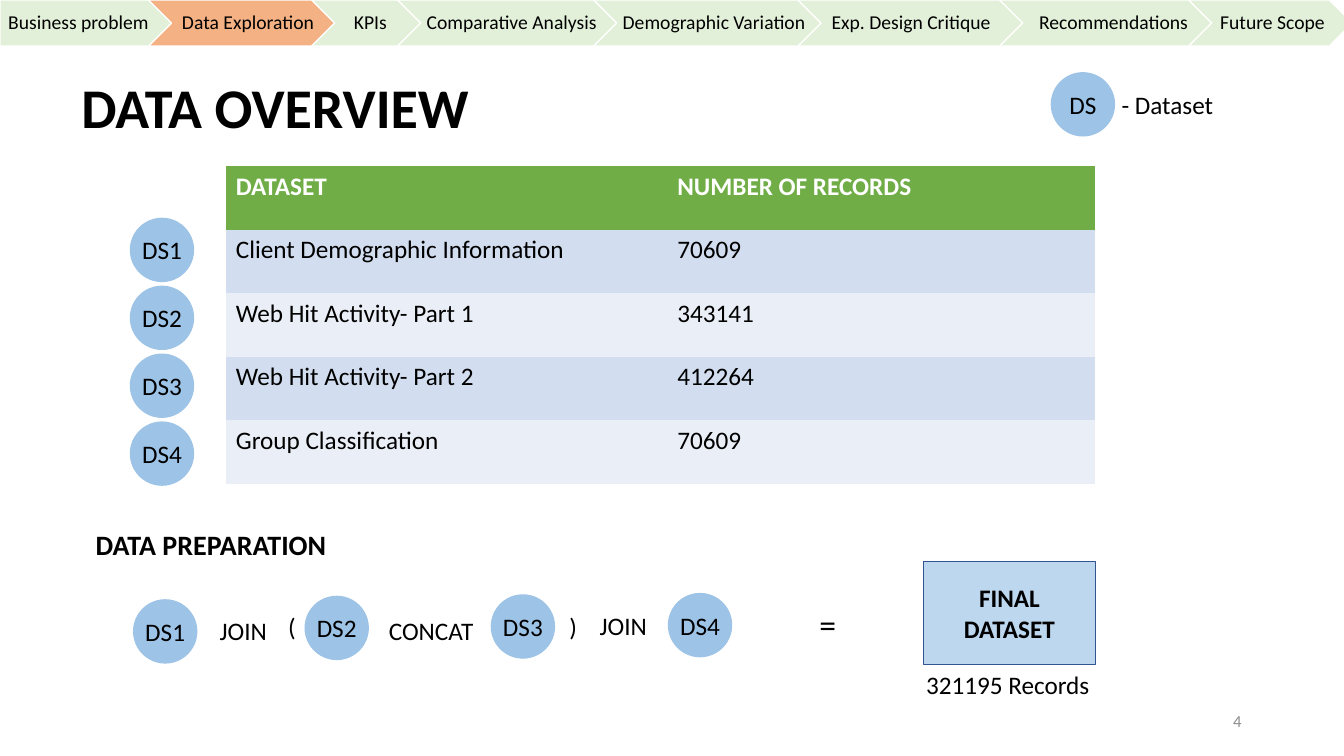
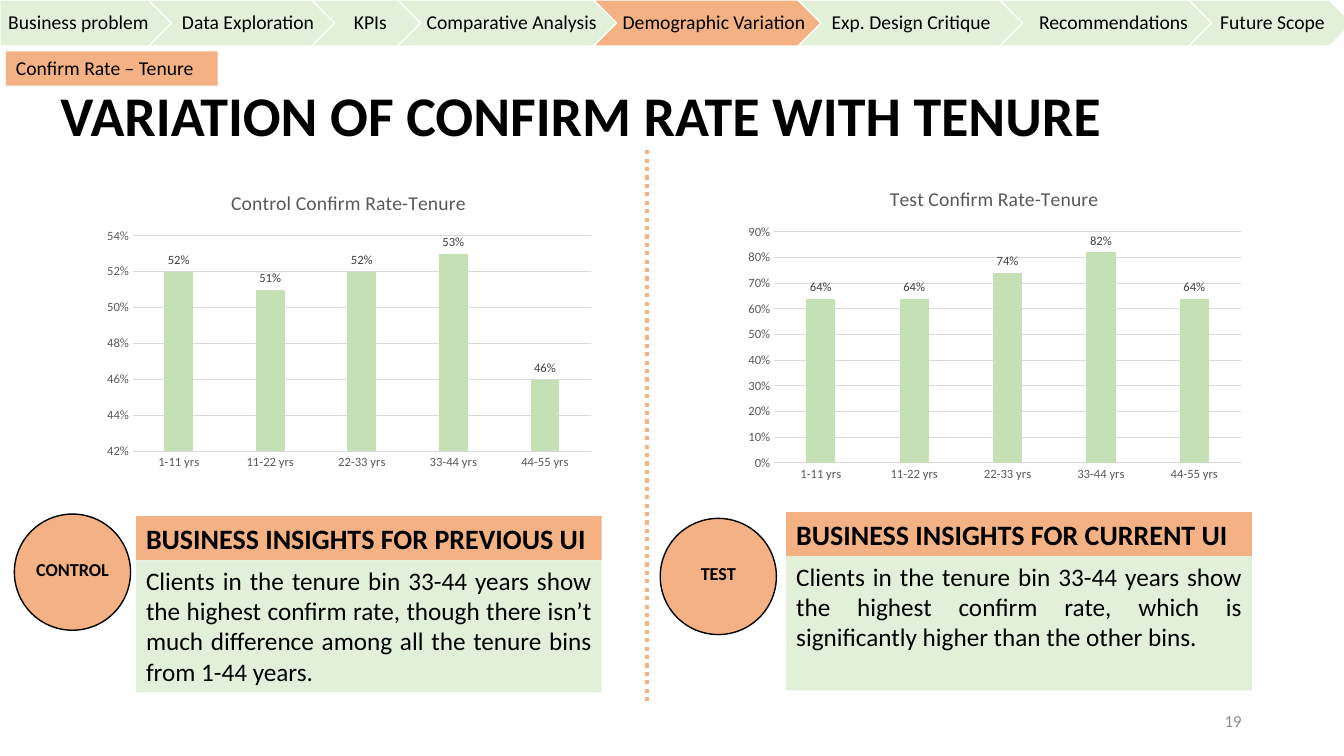
from dataclasses import dataclass

from lxml import etree
from pptx import Presentation
from pptx import util as u
from pptx.chart import data as chart_data
from pptx.dml import color as dml
from pptx.enum import chart as chart_enum
from pptx.enum import dml as dml_enum
from pptx.enum import shapes, text
from pptx.oxml import ns

Pt = u.Pt
LEFT, CENTER, RIGHT, JUSTIFY = (
    text.PP_ALIGN.LEFT, text.PP_ALIGN.CENTER, text.PP_ALIGN.RIGHT, text.PP_ALIGN.JUSTIFY)
TOP, MIDDLE = text.MSO_ANCHOR.TOP, text.MSO_ANCHOR.MIDDLE
SHAPE = shapes.MSO_SHAPE


@dataclass(frozen=True)
class Theme:
    font: str = "Calibri"
    ink: str = "000000"
    white: str = "FFFFFF"
    accent: str = "F4B183"
    pale_green: str = "E2F0D9"
    bar: str = "C5E0B4"
    header: str = "70AD47"
    bands: tuple = ("D2DEEF", "EAEFF7")
    badge: str = "9DC3E6"
    result: str = "BDD7EE"
    result_line: str = "325491"
    muted: str = "8C8C8C"
    axis: str = "595959"
    label: str = "404040"
    grid: str = "D9D9D9"
    title_size: float = 40
    symbol_size: float = 24
    heading_size: float = 20
    body_size: float = 18
    nav_size: float = 14
    group_size: float = 13
    page_size: float = 12
    chart_size: float = 9


THEME = Theme()
PLAIN = (7.2, 3.6, 7.2, 3.6)
BADGE = 46
BADGE_STEP = 48.5
NAV_HEIGHT = 33
NAV = [
    ("Business problem", 0, 135, 5.8, LEFT),
    ("Data Exploration", 106, 142.5, 7.5, LEFT),
    ("KPIs", 222.5, 82, 13.8, LEFT),
    ("Comparative Analysis", 284, 166, 4.3, LEFT),
    ("Demographic Variation", 424, 171.5, 4.3, LEFT),
    ("Exp. Design Critique", 570, 169, 7.5, LEFT),
    ("Recommendations", 714, 160, 4.3, CENTER),
    ("Future Scope", 849, 117, 4.3, CENTER),
]
DATASETS = [
    ("DATASET", "NUMBER OF RECORDS"),
    ("Client Demographic Information", "70609"),
    ("Web Hit Activity- Part 1", "343141"),
    ("Web Hit Activity- Part 2", "412264"),
    ("Group Classification", "70609"),
]
TENURES = ["1-11 yrs", "11-22 yrs", "22-33 yrs", "33-44 yrs", "44-55 yrs"]
NO_GRID_STYLE = "{2D5ABB26-0587-4C30-8999-92F81FD0307C}"


def rgb(value):
    return dml.RGBColor.from_string(value)


def set_font(font, size, color=THEME.ink, bold=False):
    font.name = THEME.font
    font.size = Pt(size)
    font.bold = bold
    font.color.rgb = rgb(color)


def write(frame, content, size, color=THEME.ink, bold=False, align=LEFT,
          anchor=TOP, insets=PLAIN, spacing=None):
    frame.word_wrap = True
    frame.auto_size = text.MSO_AUTO_SIZE.NONE
    frame.vertical_anchor = anchor
    frame.margin_left, frame.margin_top, frame.margin_right, frame.margin_bottom = map(Pt, insets)
    frame.text = content
    paragraph = frame.paragraphs[0]
    paragraph.alignment = align
    paragraph.line_spacing = spacing
    set_font(paragraph.font, size, color, bold)


def add_block(slide, kind, box, fill, line=None):
    shape = slide.shapes.add_shape(kind, *map(Pt, box))
    shape.shadow.inherit = False
    shape.fill.solid()
    shape.fill.fore_color.rgb = rgb(fill)
    if line:
        shape.line.color.rgb = rgb(line)
        shape.line.width = Pt(1)
    else:
        shape.line.fill.background()
    return shape


def add_label(slide, content, left, top, width, size=THEME.body_size, **style):
    label = slide.shapes.add_textbox(Pt(left), Pt(top), Pt(width), Pt(29))
    write(label.text_frame, content, size, **style)


def add_badge(slide, name, left, top):
    badge = add_block(slide, SHAPE.OVAL, (left, top, BADGE, BADGE), THEME.badge)
    write(badge.text_frame, name, THEME.body_size, align=CENTER, anchor=MIDDLE, insets=(0, 0, 0, 0))


def add_navigation(slide, current):
    for index, (name, left, width, inset, align) in enumerate(NAV):
        kind = SHAPE.CHEVRON if index else SHAPE.PENTAGON
        fill = THEME.accent if name == current else THEME.pale_green
        step = add_block(slide, kind, (left, 0, width, NAV_HEIGHT), fill, THEME.white)
        write(step.text_frame, name, THEME.nav_size, align=align, anchor=MIDDLE,
              insets=(inset, 2.9, 1.4, 2.9), spacing=0.9)


def add_slide(presentation, title, title_box, section, number):
    slide = presentation.slides.add_slide(presentation.slide_layouts[5])
    heading = slide.shapes.title
    heading.left, heading.top, heading.width, heading.height = map(Pt, title_box)
    write(heading.text_frame, title, THEME.title_size, bold=True, anchor=MIDDLE, spacing=0.9)
    add_navigation(slide, section)
    add_label(slide, number, 678, 500.5, 216, THEME.page_size,
              color=THEME.muted, align=RIGHT, anchor=MIDDLE)
    return slide


def add_dataset_table(slide):
    row_height = 45.4
    frame = slide.shapes.add_table(
        len(DATASETS), 2, Pt(161.3), Pt(118.8), Pt(620.7), Pt(row_height * len(DATASETS)))
    table = frame.table
    table._tbl.tblPr.find(ns.qn("a:tableStyleId")).text = NO_GRID_STYLE
    for column, width in zip(table.columns, (315.4, 305.3)):
        column.width = Pt(width)
    for row_index, values in enumerate(DATASETS):
        is_header = row_index == 0
        table.rows[row_index].height = Pt(row_height)
        for column_index, value in enumerate(values):
            cell = table.cell(row_index, column_index)
            cell.fill.solid()
            cell.fill.fore_color.rgb = rgb(
                THEME.header if is_header else THEME.bands[(row_index - 1) % 2])
            cell.text = value
            set_font(cell.text_frame.paragraphs[0].font, THEME.body_size,
                     THEME.white if is_header else THEME.ink, is_header)


def place_plot(chart, width, height):
    left, top, right, bottom = 26, 44, 7, 18
    plot_area = chart._chartSpace.chart.plotArea
    for existing in plot_area.findall(ns.qn("c:layout")):
        plot_area.remove(existing)
    layout = etree.Element(ns.qn("c:layout"))
    manual = etree.SubElement(layout, ns.qn("c:manualLayout"))
    settings = {
        "layoutTarget": "inner", "xMode": "edge", "yMode": "edge",
        "x": left / width, "y": top / height,
        "w": (width - left - right) / width, "h": (height - top - bottom) / height,
    }
    for name, value in settings.items():
        etree.SubElement(manual, ns.qn("c:" + name)).set("val", str(value))
    plot_area.insert(0, layout)


def add_rate_chart(slide, title, values, box, scale):
    data = chart_data.CategoryChartData(number_format="0%")
    data.categories = TENURES
    data.add_series("Series 1", values)
    chart = slide.shapes.add_chart(
        chart_enum.XL_CHART_TYPE.COLUMN_CLUSTERED, *map(Pt, box), data).chart
    set_font(chart.font, THEME.chart_size)
    chart.has_legend = False
    chart.has_title = True
    chart.chart_title.text_frame.text = title
    set_font(chart.chart_title.text_frame.paragraphs[0].font, THEME.nav_size, THEME.axis)
    chart.chart_title.include_in_layout = False

    plot = chart.plots[0]
    plot.vary_by_categories = False
    plot.gap_width = 219
    plot.overlap = -27
    fill = plot.series[0].format.fill
    fill.solid()
    fill.fore_color.rgb = rgb(THEME.bar)
    plot.has_data_labels = True
    labels = plot.data_labels
    labels.show_value = True
    labels.number_format = "0%"
    labels.number_format_is_linked = False
    labels.position = chart_enum.XL_LABEL_POSITION.OUTSIDE_END
    set_font(labels.font, THEME.chart_size, THEME.label)

    for axis in (chart.category_axis, chart.value_axis):
        axis.major_tick_mark = axis.minor_tick_mark = chart_enum.XL_TICK_MARK.NONE
        set_font(axis.tick_labels.font, THEME.chart_size, THEME.axis)
    value_axis = chart.value_axis
    value_axis.minimum_scale, value_axis.maximum_scale, value_axis.major_unit = scale
    value_axis.tick_labels.number_format = "0%"
    value_axis.tick_labels.number_format_is_linked = False
    value_axis.format.line.fill.background()
    for line in (value_axis.major_gridlines.format.line, chart.category_axis.format.line):
        line.color.rgb = rgb(THEME.grid)
        line.width = Pt(0.75)
    place_plot(chart, *box[2:])


def add_insight(slide, heading, body, left, top, body_height):
    width, heading_height = 332.6, 31.5
    header = add_block(slide, SHAPE.RECTANGLE, (left, top, width, heading_height), THEME.accent)
    write(header.text_frame, heading, THEME.heading_size, bold=True)
    panel = add_block(slide, SHAPE.RECTANGLE,
                      (left, top + heading_height, width, body_height), THEME.pale_green)
    write(panel.text_frame, body, THEME.body_size, align=JUSTIFY)


def add_group_circle(slide, name, left, top):
    circle = add_block(slide, SHAPE.OVAL, (left, top, 83, 83), THEME.accent, THEME.ink)
    write(circle.text_frame, name, THEME.group_size, bold=True, align=CENTER,
          anchor=MIDDLE, insets=(0, 0, 0, 4))


def add_divider(slide):
    divider = slide.shapes.add_connector(
        shapes.MSO_CONNECTOR.STRAIGHT, Pt(462.3), Pt(107.3), Pt(462.3), Pt(500.4))
    divider.line.color.rgb = rgb(THEME.accent)
    divider.line.width = Pt(3)
    divider.line.dash_style = dml_enum.MSO_LINE.ROUND_DOT
    etree.SubElement(divider._element.spPr, ns.qn("a:effectLst"))


def build_data_overview(presentation):
    slide = add_slide(presentation, "DATA OVERVIEW", (51, 34, 397, 89), "Data Exploration", "4")
    add_badge(slide, "DS", 750.5, 51.5)
    add_label(slide, "- Dataset", 794, 60, 109)
    add_dataset_table(slide)
    for index in range(4):
        add_badge(slide, f"DS{index + 1}", 92.7, 155.5 + index * BADGE_STEP)

    add_label(slide, "DATA PREPARATION", 61.2, 373, 183, THEME.heading_size, bold=True)
    for name, left, top in (("DS1", 95, 428), ("DS2", 217.5, 425.5),
                            ("DS3", 350.5, 424.5), ("DS4", 477, 423.5)):
        add_badge(slide, name, left, top)
    for content, left, top, width in (("JOIN", 149.8, 436.3, 54), ("(", 198.7, 433.4, 27),
                                      ("CONCAT", 270.7, 435.6, 78), (")", 399.6, 433.4, 24),
                                      ("JOIN", 421.2, 432.7, 54),
                                      ("321195 Records", 654.5, 474.5, 133)):
        add_label(slide, content, left, top, width)
    add_label(slide, "=", 578.2, 427.7, 32, THEME.symbol_size)
    result = add_block(slide, SHAPE.RECTANGLE, (659.5, 401, 123, 73.5),
                       THEME.result, THEME.result_line)
    write(result.text_frame, "FINAL DATASET", THEME.body_size, bold=True,
          align=CENTER, anchor=MIDDLE)


def build_tenure_variation(presentation):
    slide = add_slide(presentation, "VARIATION OF CONFIRM RATE WITH TENURE",
                      (36, 49, 771, 70.5), "Demographic Variation", "19")
    tag = add_block(slide, SHAPE.RECTANGLE, (4.3, 36.7, 151.2, 24.5), THEME.accent)
    write(tag.text_frame, "Confirm Rate – Tenure", THEME.nav_size)
    add_divider(slide)
    add_rate_chart(slide, "Control Confirm Rate-Tenure", (0.52, 0.51, 0.52, 0.53, 0.46),
                   (69, 124.5, 360, 216), (0.42, 0.54, 0.02))
    add_rate_chart(slide, "Test Confirm Rate-Tenure", (0.64, 0.64, 0.74, 0.82, 0.64),
                   (527, 121.7, 366.5, 227), (0, 0.9, 0.1))
    add_insight(slide, "BUSINESS INSIGHTS FOR PREVIOUS UI",
                "Clients in the tenure bin 33-44 years show the highest confirm rate, though "
                "there isn’t much difference among all the tenure bins from 1-44 years.",
                97.2, 368.7, 94.3)
    add_insight(slide, "BUSINESS INSIGHTS FOR CURRENT UI",
                "Clients in the tenure bin 33-44 years show the highest confirm rate, which is "
                "significantly higher than the other bins.",
                561.6, 365.8, 95.8)
    add_group_circle(slide, "CONTROL", 10.3, 367.2)
    add_group_circle(slide, "TEST", 471.6, 370.3)


def main():
    presentation = Presentation()
    presentation.slide_width, presentation.slide_height = Pt(960), Pt(540)
    build_data_overview(presentation)
    build_tenure_variation(presentation)
    presentation.save("out.pptx")


if __name__ == "__main__":
    main()
